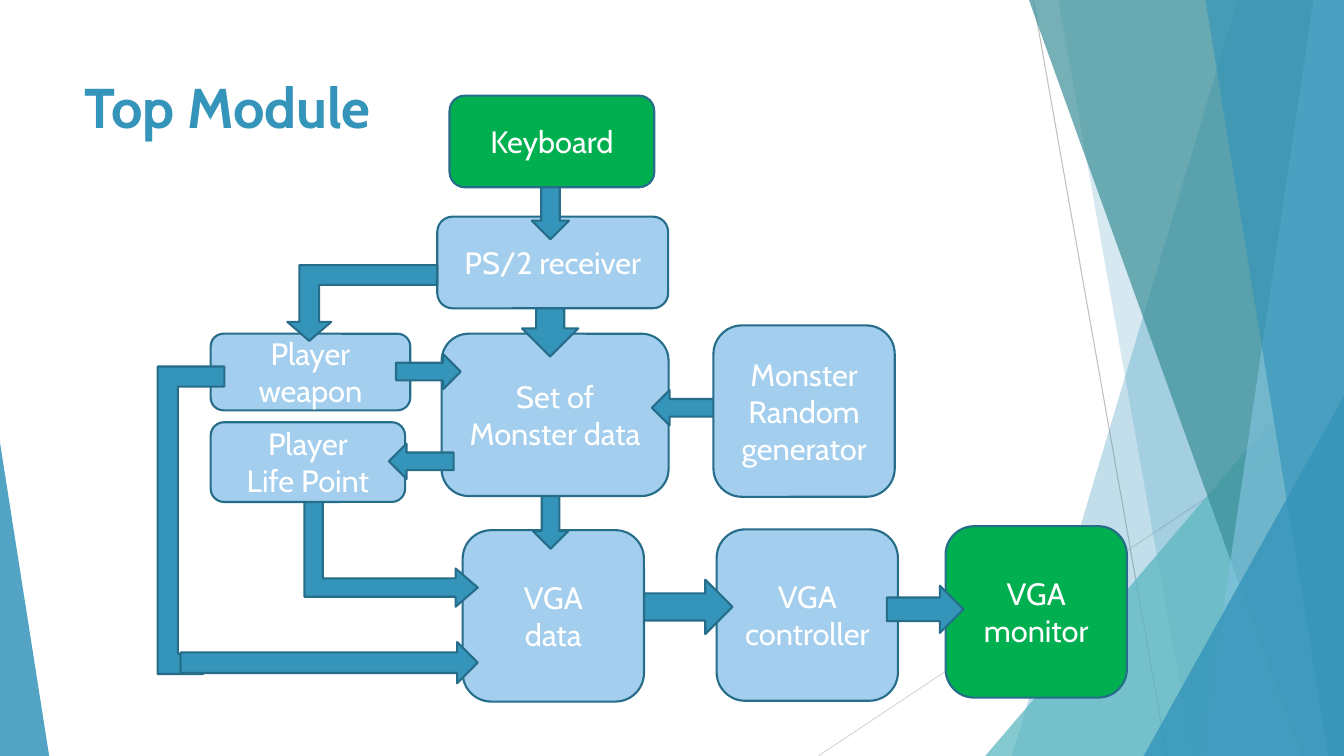
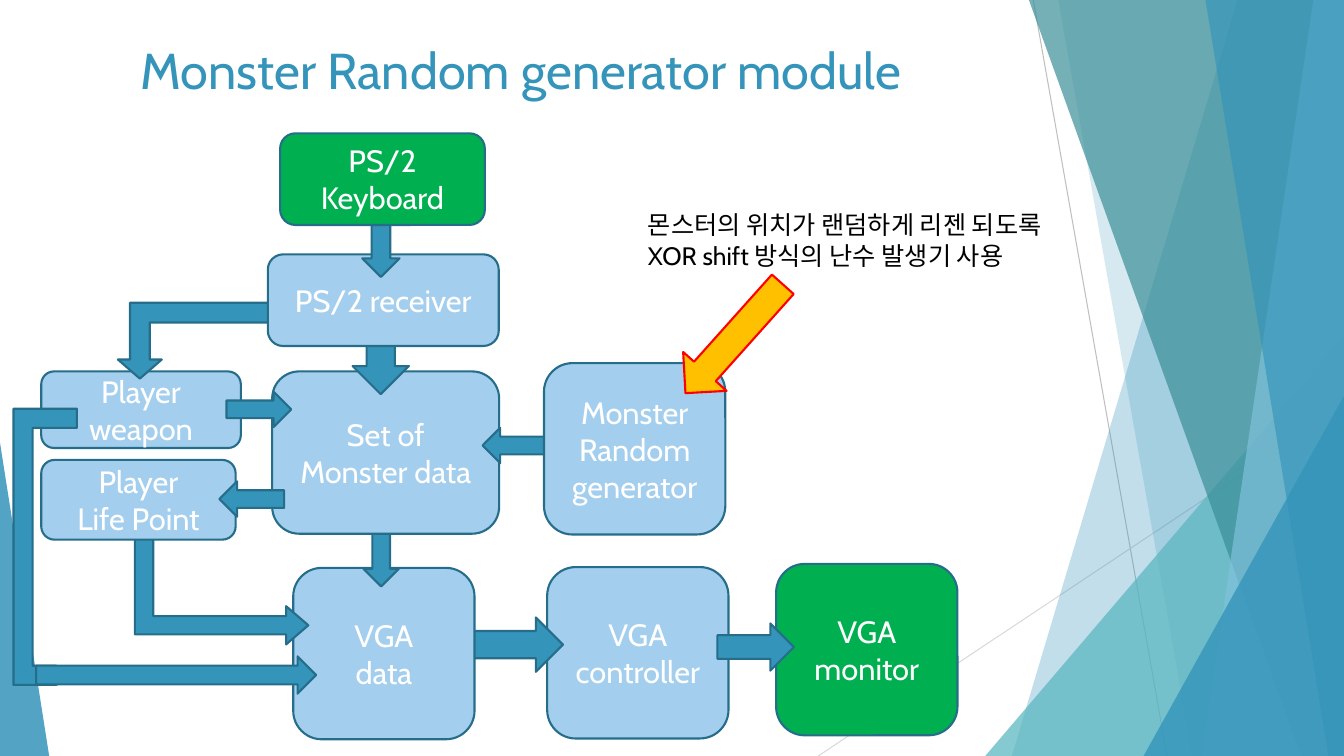
"""Build two slides that show the block diagram of a game circuit."""
import dataclasses

import pptx
import pptx.dml.color
import pptx.enum.shapes
import pptx.enum.text
import pptx.oxml.ns
import pptx.util
from lxml import etree

Cm = pptx.util.Cm
Kind = pptx.enum.shapes.MSO_SHAPE
Align = pptx.enum.text.PP_ALIGN
Anchor = pptx.enum.text.MSO_ANCHOR


@dataclasses.dataclass(frozen=True)
class Theme:
    font: str = "Cabin"
    wide: float = 33.87
    high: float = 19.05
    blue: str = "3494BA"
    edge: str = "266D8A"
    pale: str = "A3CEED"
    green: str = "00B050"
    teal: str = "58B6C0"
    deep: str = "3A8F98"
    sky: str = "7FC1DB"
    gold: str = "FFC000"
    red: str = "FF0000"
    white: str = "FFFFFF"
    black: str = "000000"
    gray: str = "BFBFBF"
    light: str = "D9D9D9"
    head: int = 40
    sub: int = 36
    label: int = 22
    note: int = 18
    rule: float = 1.5
    hair: float = 0.75


def rgb(code):
    return pptx.dml.color.RGBColor.from_string(code)


def put(frame, text, *, font, size, color, bold=False,
        align=Align.LEFT, anchor=Anchor.TOP):
    frame.word_wrap = True
    frame.vertical_anchor = anchor
    for i, line in enumerate(text.split("\n")):
        para = frame.paragraphs[0] if i == 0 else frame.add_paragraph()
        para.alignment = align
        run = para.add_run()
        run.text = line
        run.font.name = font
        run.font.size = pptx.util.Pt(size)
        run.font.bold = bold
        run.font.color.rgb = rgb(color)


class Deck:
    def __init__(self, theme):
        self.theme = theme
        self.file = pptx.Presentation()
        self.file.slide_width = Cm(theme.wide)
        self.file.slide_height = Cm(theme.high)
        self.shapes = None
        self.shift = (0, 0)

    def page(self, title, shift=(0, 0), **form):
        slide = self.file.slides.add_slide(self.file.slide_layouts[6])
        self.shapes = slide.shapes
        self.shift = (0, 0)
        self.back()
        left, top = form.pop("at")
        self.text(title, left, top, 23.88, 2, color=self.theme.blue, **form)
        self.shift = shift

    def back(self):
        t = self.theme
        self.line(26.04, 0, 29.41, t.high, t.gray)
        self.line(t.wide, 10.24, 20.62, t.high, t.light)
        self.facet(31.19, 25.5, t.blue, 30)
        self.facet(26.67, 30.05, t.blue, 20)
        self.wedge(t.wide - 9.04, 9.04, 10.59, 1, t.teal, 72)
        self.facet(25.93, 32.79, t.deep, 70)
        self.facet(33.1, 30.28, t.sky, 70)
        self.facet(30.38, 33.48, t.blue, 65)
        self.wedge(t.wide - 5.05, 5.05, 9.07, 1, t.blue, 80)
        self.wedge(0, 1.24, 7.9, 0, t.blue, 85)

    def paint(self, shape, fill, edge=None, alpha=None):
        shape.shadow.inherit = False
        shape.fill.solid()
        shape.fill.fore_color.rgb = rgb(fill)
        if edge:
            shape.line.color.rgb = rgb(edge)
            shape.line.width = pptx.util.Pt(self.theme.rule)
        else:
            shape.line.fill.background()
        if alpha is not None:
            qn = pptx.oxml.ns.qn
            tint = shape.element.spPr.find(qn("a:solidFill"))[0]
            etree.SubElement(tint, qn("a:alpha")).set("val", str(alpha * 1000))

    def line(self, x1, y1, x2, y2, color):
        item = self.shapes.add_connector(
            pptx.enum.shapes.MSO_CONNECTOR.STRAIGHT,
            Cm(x1), Cm(y1), Cm(x2), Cm(y2))
        item.line.color.rgb = rgb(color)
        item.line.width = pptx.util.Pt(self.theme.hair)
        etree.SubElement(item.element.spPr, pptx.oxml.ns.qn("a:effectLst"))

    def facet(self, top, base, color, alpha):
        wide, high = Cm(self.theme.wide), Cm(self.theme.high)
        pen = self.shapes.build_freeform(Cm(top), 0)
        pen.add_line_segments([(wide, 0), (wide, high), (Cm(base), high)])
        self.paint(pen.convert_to_shape(), color, alpha=alpha)

    def wedge(self, left, wide, high, peak, color, alpha):
        item = self.shape(Kind.ISOSCELES_TRIANGLE, left,
                          self.theme.high - high, wide, high, adj=[peak])
        self.paint(item, color, alpha=alpha)

    def shape(self, kind, left, top, wide, high, turn=0, adj=()):
        dx, dy = self.shift
        item = self.shapes.add_shape(
            kind, Cm(left + dx), Cm(top + dy), Cm(wide), Cm(high))
        item.rotation = turn
        for i, value in enumerate(adj):
            item.adjustments[i] = value
        return item

    def box(self, text, left, top, wide=4.57, high=4.32, fill=None):
        t = self.theme
        item = self.shape(Kind.ROUNDED_RECTANGLE, left, top, wide, high)
        self.paint(item, fill or t.pale, t.edge)
        put(item.text_frame, text, font=t.font, size=t.label, color=t.white,
            align=Align.CENTER, anchor=Anchor.MIDDLE)

    def arrow(self, left, top, wide=1.63, high=0.89, turn=0,
              kind=Kind.RIGHT_ARROW, adj=(), fill=None, edge=None):
        item = self.shape(kind, left, top, wide, high, turn, adj)
        self.paint(item, fill or self.theme.blue, edge or self.theme.edge)
        return item

    def loop(self, bend, tail):
        self.shift = (0, 0)
        item = self.arrow(*bend, turn=90, kind=Kind.U_TURN_ARROW,
                          adj=(0.303, 0.151, 0.332, 0, 1))
        item.element.spPr.xfrm.set("flipV", "1")
        self.arrow(*tail)

    def text(self, text, left, top, wide, high, **form):
        item = self.shapes.add_textbox(Cm(left), Cm(top), Cm(wide), Cm(high))
        put(item.text_frame, text, font=self.theme.font, **form)

    def chart(self, source):
        green, bent = self.theme.green, Kind.BENT_UP_ARROW
        self.box("VGA monitor", 23.83, 13.26, fill=green)
        self.box("VGA controller", 18.06, 13.34)
        self.arrow(22.35, 14.76, 1.93, 1.19)
        self.arrow(16.1, 14.61, 2.36, 1.37)
        self.box("VGA\ndata", 11.66, 13.36)
        self.arrow(13.06, 12.57, turn=90)
        self.box("Set of\nMonster data", 11.13, 8.41, 5.72, 4.09)
        self.arrow(12.85, 7.26, 2.03, 1.42, turn=90)
        self.box("PS/2 receiver", 11.02, 5.46, 5.82, 2.31)
        self.box("Player\nweapon", 5.31, 8.41, 5.03, 1.93)
        self.arrow(9.98, 8.92)
        self.arrow(16.43, 9.83, 1.96, turn=180)
        self.arrow(8.18, 11.43, 3.35, 4.37, 90, bent, (0.138, 0.144, 0.167))
        self.box("Player\nLife Point", 5.31, 10.64, 4.9, 2.01)
        self.arrow(13.03, 4.72, 1.68, 0.94, turn=90)
        self.box(source, 11.33, 2.41, 5.16, 2.31, fill=green)
        self.arrow(7.24, 6.68, 3.78, 1.91, 180, bent, (0.26, 0.29, 0.252))
        self.box("Monster\nRandom generator", 17.98, 8.2)
        self.arrow(9.8, 11.18, turn=180)


def main():
    t = Theme()
    deck = Deck(t)

    deck.page("Top Module", at=(1.88, 1.7), size=t.head, bold=True)
    deck.chart("Keyboard")
    deck.loop((0.94, 12.27, 7.75, 1.68), (4.55, 16.18, 7.49, 1.04))

    deck.page("Monster Random generator module", shift=(-4.27, 0.95),
              at=(1.19, 0.86), size=t.sub, align=Align.CENTER)
    deck.chart("PS/2\nKeyboard")
    deck.loop((-2.34, 12.98, 6.96, 1.6), (0.91, 16.54, 7.06, 0.94))
    deck.arrow(16.66, 7.8, 3.68, 1.47, turn=131.8, fill=t.gold, edge=t.red)
    deck.text("몬스터의 위치가 랜덤하게 리젠 되도록 XOR shift 방식의 난수 발생기 사용",
              16.08, 5.16, 11.25, 3.33, size=t.note, color=t.black)

    deck.file.save("out.pptx")


if __name__ == "__main__":
    main()
